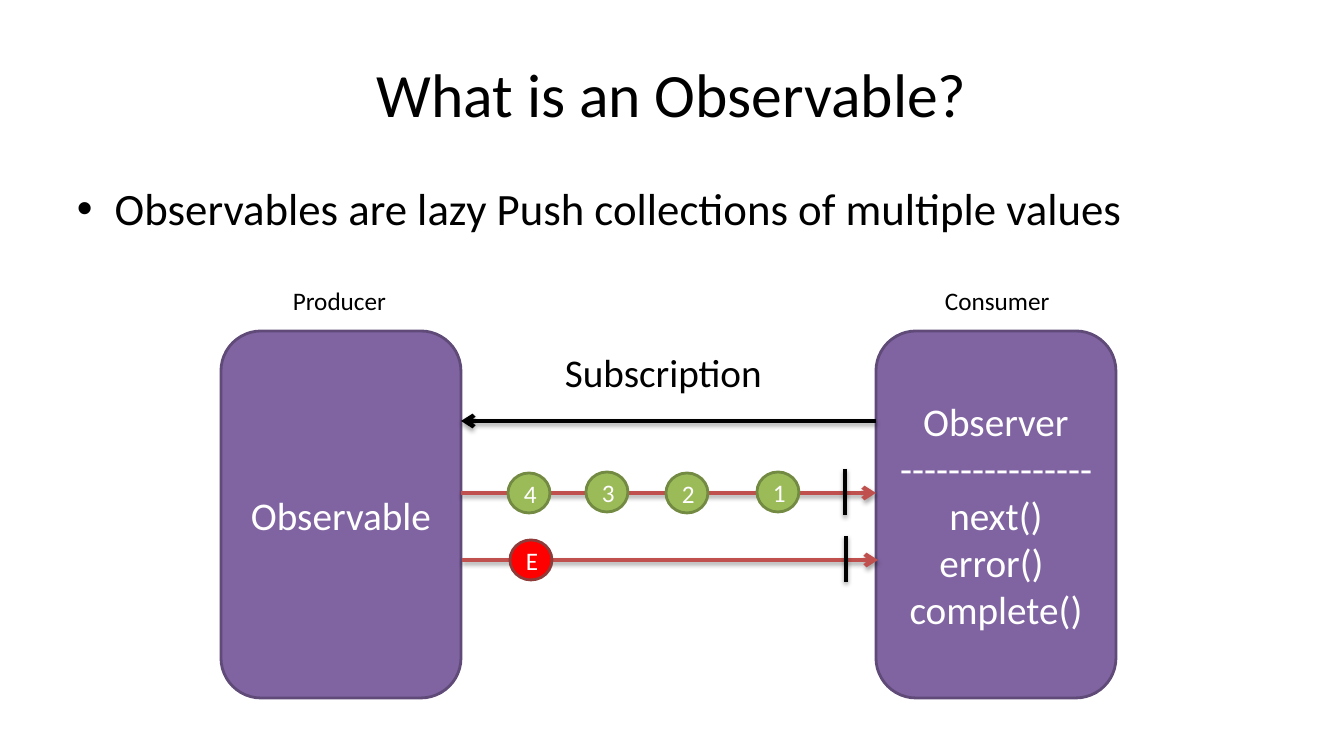
from lxml import etree
from pptx import Presentation
from pptx import util as u
from pptx.dml.color import RGBColor
from pptx.enum import shapes, text
from pptx.oxml import parse_xml
from pptx.oxml.ns import qn

EMU_PER_PX = 914400 / 100.8
NS = 'xmlns:a="http://schemas.openxmlformats.org/drawingml/2006/main"'
FONT = "Calibri"
COLORS = {
    "black": "000000", "white": "FFFFFF",
    "purple": "8064A2", "purple_edge": "5F4A78",
    "green": "9BBB59", "green_edge": "738A42",
    "error": "FF0000", "error_edge": "8E3B39",
    "stream": "C0504D",
}
SHADOW = (
    f'<a:effectLst {NS}><a:outerShdw blurRad="40000" dist="23000" dir="5400000" rotWithShape="0">'
    '<a:srgbClr val="000000"><a:alpha val="35000"/></a:srgbClr></a:outerShdw></a:effectLst>'
)


def px(*lengths):
    return [u.Emu(round(length * EMU_PER_PX)) for length in lengths]


def rgb(name):
    return RGBColor.from_string(COLORS[name])


def write(frame, lines, size, color, align):
    """Fill the frame with one paragraph per line."""
    for i, line in enumerate(lines):
        paragraph = frame.paragraphs[0] if i == 0 else frame.add_paragraph()
        paragraph.alignment = align
        run = paragraph.add_run()
        run.text = line
        run.font.name = FONT
        run.font.size = u.Pt(size)
        run.font.color.rgb = rgb(color)


def add_title(slide, wording):
    title = slide.shapes.title
    title.left, title.top, title.width, title.height = px(67, 30, 1210, 126)
    title.text_frame.vertical_anchor = text.MSO_ANCHOR.MIDDLE
    write(title.text_frame, [wording], 44, "black", text.PP_ALIGN.CENTER)


def add_bullet(slide, wording):
    frame = slide.shapes.add_textbox(*px(67, 176, 1210, 499)).text_frame
    frame.word_wrap = True
    write(frame, [wording], 32, "black", text.PP_ALIGN.LEFT)
    paragraph = frame.paragraphs[0]
    paragraph.space_before = u.Pt(6.4)
    props = paragraph._p.get_or_add_pPr()
    props.set("marL", "342900")
    props.set("indent", "-342900")
    etree.SubElement(props, qn("a:buFont")).set("typeface", "Arial")
    etree.SubElement(props, qn("a:buChar")).set("char", "•")


def add_label(slide, wording, box, size):
    frame = slide.shapes.add_textbox(*px(*box)).text_frame
    frame.word_wrap = False
    frame.auto_size = text.MSO_AUTO_SIZE.SHAPE_TO_FIT_TEXT
    write(frame, [wording], size, "black", text.PP_ALIGN.LEFT)


def add_node(slide, preset, box, lines, size, color):
    node = slide.shapes.add_shape(preset, *px(*box))
    node.shadow.inherit = False
    node.fill.solid()
    node.fill.fore_color.rgb = rgb(color)
    node.line.color.rgb = rgb(color + "_edge")
    node.line.width = u.Pt(2)
    node.text_frame.word_wrap = True
    node.text_frame.vertical_anchor = text.MSO_ANCHOR.MIDDLE
    write(node.text_frame, lines, size, "white", text.PP_ALIGN.CENTER)


def add_actor(slide, left, lines):
    add_node(slide, shapes.MSO_SHAPE.ROUNDED_RECTANGLE, (left, 331, 240, 367), lines, 28, "purple")


def add_marble(slide, left, top, value, color):
    add_node(slide, shapes.MSO_SHAPE.OVAL, (left, top, 42, 40), [value], 18, color)


def add_line(slide, ends, color, arrow=False):
    line = slide.shapes.add_connector(shapes.MSO_CONNECTOR.STRAIGHT, *px(*ends))
    line.line.color.rgb = rgb(color)
    line.line.width = u.Pt(3)
    if arrow:
        etree.SubElement(line.line._get_or_add_ln(), qn("a:tailEnd")).set("type", "arrow")
    line._element.spPr.append(parse_xml(SHADOW))


def main():
    deck = Presentation()
    deck.slide_width, deck.slide_height = px(1344, 756)
    slide = deck.slides.add_slide(deck.slide_layouts[5])

    add_title(slide, "What is an Observable?")
    add_bullet(slide, "Observables are lazy Push collections of multiple values")
    add_actor(slide, 221, ["Observable"])
    add_actor(slide, 876, ["Observer", "----------------next()", "error() ", "complete()"])

    add_line(slide, (876, 421, 461, 421), "black", arrow=True)
    add_label(slide, "Subscription", (555, 343, 220, 57), 28)

    add_line(slide, (461, 493, 876, 493), "stream", arrow=True)
    for value, left, top in (("4", 508, 473), ("3", 586, 472), ("2", 666, 473), ("1", 757, 472)):
        add_marble(slide, left, top, value, "green")

    add_line(slide, (462, 560, 878, 560), "stream", arrow=True)
    add_marble(slide, 510, 540, "E", "error")

    add_label(slide, "Producer", (283, 280, 115, 40), 18)
    add_label(slide, "Consumer", (935, 280, 126, 40), 18)
    for x, top in ((845, 469), (846, 536)):
        add_line(slide, (x, top, x, top + 46), "black")

    deck.save("out.pptx")


if __name__ == "__main__":
    main()
